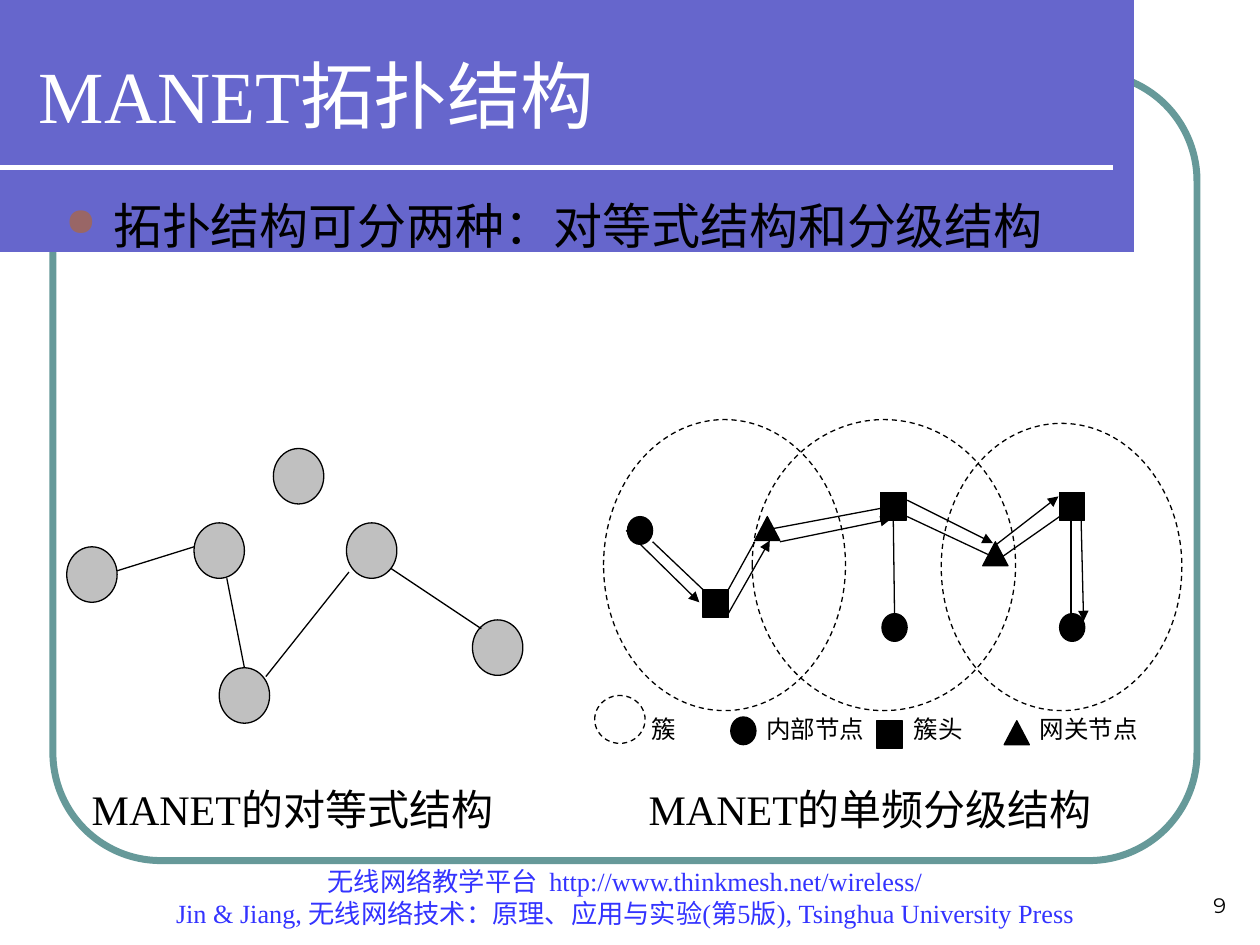
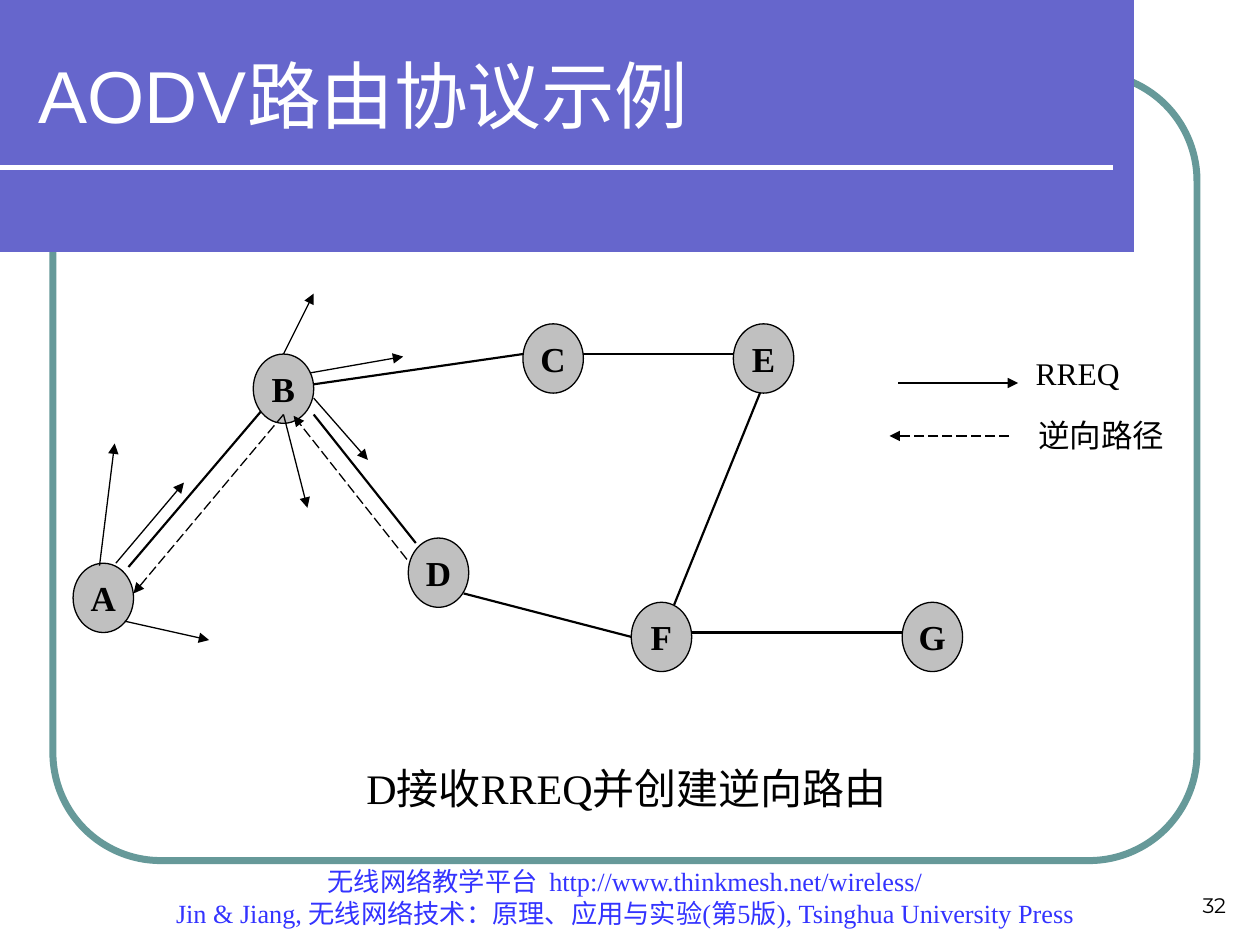
import math

import pptx
import pptx.dml.color
import pptx.enum.dml
import pptx.enum.shapes
import pptx.enum.text
import pptx.oxml.ns
import pptx.oxml.xmlchemy
import pptx.util
from lxml import etree

Inches = pptx.util.Inches
Pt = pptx.util.Pt
SHAPE = pptx.enum.shapes.MSO_SHAPE
DASH = pptx.enum.dml.MSO_LINE
ALIGN = pptx.enum.text.PP_ALIGN
ANCHOR = pptx.enum.text.MSO_ANCHOR
qn = pptx.oxml.ns.qn

SERIF, SANS, NUMBER_FONT = "Times New Roman", "Arial", "Montserrat"
BLACK, WHITE, GRAY = "000000", "FFFFFF", "C0C0C0"
BAND, FRAME, BULLET, FOOTER_BLUE = "6666CC", "669999", "996666", "3333FF"

FOOTER = [
    "无线网络教学平台  http://www.thinkmesh.net/wireless/",
    "Jin & Jiang, 无线网络技术：原理、应用与实验(第5版), Tsinghua University Press",
]

# Topology slide
TOPOLOGY_POINT = "拓扑结构可分两种：对等式结构和分级结构"
TOPOLOGY_CAPTIONS = [
    ("MANET的对等式结构", (0.63, 6.17, 3.54, 0.5)),
    ("MANET的单频分级结构", (5.05, 6.17, 3.87, 0.5)),
]
PEER_SIZE = (0.4, 0.44)
PEERS = [(0.53, 4.34), (1.54, 4.15), (1.74, 5.3),
         (2.75, 4.15), (2.17, 3.56), (3.75, 4.92)]
PEER_LINKS = [
    (0.93, 4.53, 1.54, 4.34), (1.8, 4.59, 1.94, 5.3),
    (2.11, 5.37, 2.77, 4.54), (3.1, 4.51, 3.82, 4.99),
]
ROLES = {
    "internal": (SHAPE.OVAL, 0.2, 0.22),
    "head": (SHAPE.RECTANGLE, 0.2, 0.22),
    "gateway": (SHAPE.ISOSCELES_TRIANGLE, 0.2, 0.19),
}
CLUSTERS = [(4.79, 3.33, 1.92, 2.31), (5.97, 3.33, 2.09, 2.31),
            (7.47, 3.36, 1.91, 2.28)]
MIDDLE_HEAD = (6.99, 3.91)
MEMBERS = [
    ("internal", 4.98, 4.1), ("head", 5.58, 4.68), ("gateway", 5.99, 4.1),
    ("gateway", 7.8, 4.3), ("head", 8.41, 3.91),
    ("internal", 7, 4.87), ("internal", 8.41, 4.87),
]
CLUSTER_LINKS = [
    (5.18, 4.3, 5.58, 4.68), (5.99, 4.3, 5.78, 4.68), (8.5, 4.12, 8.5, 5.08),
    (7.91, 4.45, 8.41, 4.1), (7.2, 4.1, 7.84, 4.4), (6.11, 4.2, 7.07, 4.02),
]
CLUSTER_ARROWS = [
    (4.97, 4.21, 5.55, 4.78), (5.78, 4.87, 6.11, 4.29),
    (6.19, 4.3, 7.07, 4.12), (7.2, 3.97, 7.88, 4.31),
    (7.91, 4.32, 8.4, 3.94), (8.58, 4.11, 8.6, 4.93),
]
CLUSTER_KEY = (4.72, 5.52, 0.4, 0.38)
KEY_MARKS = [("internal", 5.8, 5.69), ("head", 6.96, 5.72),
             ("gateway", 7.97, 5.72)]
KEY_LABELS = [("簇", 5.17), ("内部节点", 6.08), ("簇头", 7.25), ("网关节点", 8.25)]

# Routing slide
ROUTER_SIZE = (0.48, 0.55)
ROUTERS = {"A": (0.58, 4.47), "B": (2.01, 2.81), "C": (4.15, 2.57),
           "D": (3.24, 4.27), "E": (5.82, 2.57), "F": (5.01, 4.78),
           "G": (7.16, 4.78)}
ROUTER_LINKS = [
    (1.02, 4.5, 2.11, 3.22), (2.49, 3.05, 4.15, 2.81),
    (4.63, 2.81, 5.82, 2.81), (2.49, 3.29, 3.3, 4.31),
    (3.68, 4.71, 5.03, 5.06), (5.35, 4.8, 6.06, 3.05),
    (5.49, 5.02, 7.16, 5.02),
]
REQUESTS = [
    (0.99, 4.93, 1.66, 5.08), (0.92, 4.47, 1.46, 3.83),
    (0.79, 4.49, 0.91, 3.52), (2.25, 2.81, 2.49, 2.33),
    (2.46, 2.96, 3.2, 2.83), (2.49, 3.16, 2.92, 3.65),
    (2.25, 3.29, 2.44, 4.03), (7.13, 3.04, 8.08, 3.04),
]
REVERSE_PATHS = [(2.25, 3.29, 1.06, 4.71), (3.23, 4.44, 2.33, 3.3),
                 (8.01, 3.46, 7.06, 3.46)]
ROUTING_KEY = [("RREQ", (8.22, 2.81, 1.1, 0.47)),
               ("逆向路径", (8.24, 3.3, 1.1, 0.47))]
ROUTING_CAPTION = ("D接收RREQ并创建逆向路由", (2.81, 6, 4.62, 0.5))


def rgb(color):
    return pptx.dml.color.RGBColor.from_string(color)


def write(tf, text, size=14, font=SERIF, color=BLACK, bold=False,
          align=ALIGN.LEFT, anchor=ANCHOR.TOP, inset=(0, 0)):
    """Fill a text frame, one paragraph for each line of text."""
    tf.word_wrap = True
    tf.vertical_anchor = anchor
    tf.margin_left = tf.margin_right = Inches(inset[0])
    tf.margin_top = tf.margin_bottom = Inches(inset[1])
    for i, line in enumerate(text.split("\n")):
        p = tf.paragraphs[0] if i == 0 else tf.add_paragraph()
        p.alignment = align
        r = p.add_run()
        r.text = line
        r.font.size, r.font.name, r.font.bold = Pt(size), font, bold
        r.font.color.rgb = rgb(color)


def add_text(s, text, box, **fmt):
    sp = s.shapes.add_textbox(*map(Inches, box))
    write(sp.text_frame, text, **fmt)
    return sp


def add_padded_text(s, text, box, **fmt):
    return add_text(s, text, box, inset=(0.1, 0.05), **fmt)


def add_figure(s, kind, box, fill=None, line=BLACK, width=0.75, dash=None):
    sp = s.shapes.add_shape(kind, *map(Inches, box))
    sp.shadow.inherit = False
    if fill:
        sp.fill.solid()
        sp.fill.fore_color.rgb = rgb(fill)
    else:
        sp.fill.background()
    sp.line.color.rgb = rgb(line)
    sp.line.width = Pt(width)
    if dash:
        sp.line.dash_style = dash
    return sp


def add_line(s, ends, color=BLACK, width=0.75, dash=None, arrow=False):
    c = s.shapes.add_connector(pptx.enum.shapes.MSO_CONNECTOR.STRAIGHT,
                               *map(Inches, ends))
    c.line.color.rgb = rgb(color)
    c.line.width = Pt(width)
    if dash:
        c.line.dash_style = dash
    spPr = c._element.spPr
    if arrow:
        etree.SubElement(spPr.find(qn("a:ln")), qn("a:tailEnd"), type="triangle")
    etree.SubElement(spPr, qn("a:effectLst"))
    return c


def add_role(s, role, x, y):
    kind, w, h = ROLES[role]
    return add_figure(s, kind, (x, y, w, h), fill=BLACK)


def add_band(s, top=0.17, bottom=1.5, right=9.33, steps=48):
    """Title band running off the left edge, with a half-round right end."""
    radius = (bottom - top) / 2
    cx, cy = right - radius, top + radius
    angles = [math.pi * (i / steps - 0.5) for i in range(steps + 1)]
    arc = [(cx + radius * math.cos(a), cy + radius * math.sin(a)) for a in angles]
    fb = s.shapes.build_freeform(0, top, scale=Inches(1))
    fb.add_line_segments(arc + [(0, bottom)], close=True)
    sp = fb.convert_to_shape()
    sp.shadow.inherit = False
    sp.fill.solid()
    sp.fill.fore_color.rgb = rgb(BAND)
    sp.line.fill.background()


def add_slide(prs, title, number, title_font):
    s = prs.slides.add_slide(prs.slide_layouts[6])
    frame = add_figure(s, SHAPE.ROUNDED_RECTANGLE, (0.42, 0.58, 9.08, 6.25),
                       line=FRAME, width=4)
    frame.adjustments[0] = 0.137
    add_band(s)
    add_line(s, (0, 1.33, 8.83, 1.33), color=WHITE, width=3)
    add_padded_text(s, "\n".join(FOOTER), (0.75, 7, 8.42, 0.42), size=15,
                    color=FOOTER_BLUE, align=ALIGN.CENTER, anchor=ANCHOR.BOTTOM)
    add_padded_text(s, str(number), (7.5, 6.83, 2.33, 0.5), size=12,
                    font=NUMBER_FONT, align=ALIGN.RIGHT, anchor=ANCHOR.BOTTOM)
    add_padded_text(s, title, (0.21, 0.25, 8.77, 1), size=42, font=title_font,
                    color=WHITE, anchor=ANCHOR.MIDDLE)
    return s


def add_caption(s, text, box):
    add_padded_text(s, text, box, size=24, anchor=ANCHOR.MIDDLE)


def add_bullet_point(s, text, box):
    sp = add_padded_text(s, text, box, size=28)
    pPr = sp.text_frame.paragraphs[0]._p.get_or_add_pPr()
    indent = Inches(0.38)
    pPr.set("marL", str(indent))
    pPr.set("indent", str(-indent))
    color = etree.SubElement(pPr, qn("a:buClr"))
    etree.SubElement(color, qn("a:srgbClr"), val=BULLET)
    etree.SubElement(pPr, qn("a:buSzPct"), val="80000")
    etree.SubElement(pPr, qn("a:buChar"), char="●")


def build_topology(prs):
    s = add_slide(prs, "MANET拓扑结构", 9, SERIF)
    add_bullet_point(s, TOPOLOGY_POINT, (0.42, 1.5, 8.83, 1))

    for x, y in PEERS:
        add_figure(s, SHAPE.OVAL, (x, y, *PEER_SIZE), fill=GRAY)
    for ends in PEER_LINKS:
        add_line(s, ends)

    for member in MEMBERS:
        add_role(s, *member)
    middle_head = add_role(s, "head", *MIDDLE_HEAD)
    add_line(s, (7.1, 4.14, 7.1, 4.91)).begin_connect(middle_head, 2)
    for ends in CLUSTER_LINKS:
        add_line(s, ends)
    for box in CLUSTERS:
        add_figure(s, SHAPE.OVAL, box, dash=DASH.DASH)
    for ends in CLUSTER_ARROWS:
        add_line(s, ends, arrow=True)

    add_figure(s, SHAPE.OVAL, CLUSTER_KEY, fill=WHITE, dash=DASH.DASH)
    for mark in KEY_MARKS:
        add_role(s, *mark)
    for text, x in KEY_LABELS:
        add_text(s, text, (x, 5.67, 1.05, 0.34))
    for caption in TOPOLOGY_CAPTIONS:
        add_caption(s, *caption)


def build_routing(prs):
    s = add_slide(prs, "AODV路由协议示例", 32, SANS)
    for ends in ROUTER_LINKS:
        add_line(s, ends, width=1.25)
    for name, (x, y) in ROUTERS.items():
        sp = add_figure(s, SHAPE.OVAL, (x, y, *ROUTER_SIZE), fill=GRAY)
        write(sp.text_frame, name, size=20, bold=True, align=ALIGN.CENTER,
              anchor=ANCHOR.MIDDLE)
    for ends in REQUESTS:
        add_line(s, ends, arrow=True)
    for ends in REVERSE_PATHS:
        add_line(s, ends, dash=DASH.LONG_DASH, arrow=True)
    for text, box in ROUTING_KEY:
        add_text(s, text, box, size=18)
    add_caption(s, *ROUTING_CAPTION)


def main():
    prs = pptx.Presentation()
    prs.slide_width, prs.slide_height = Inches(10), Inches(7.5)
    build_topology(prs)
    build_routing(prs)
    prs.save("out.pptx")


if __name__ == "__main__":
    main()
